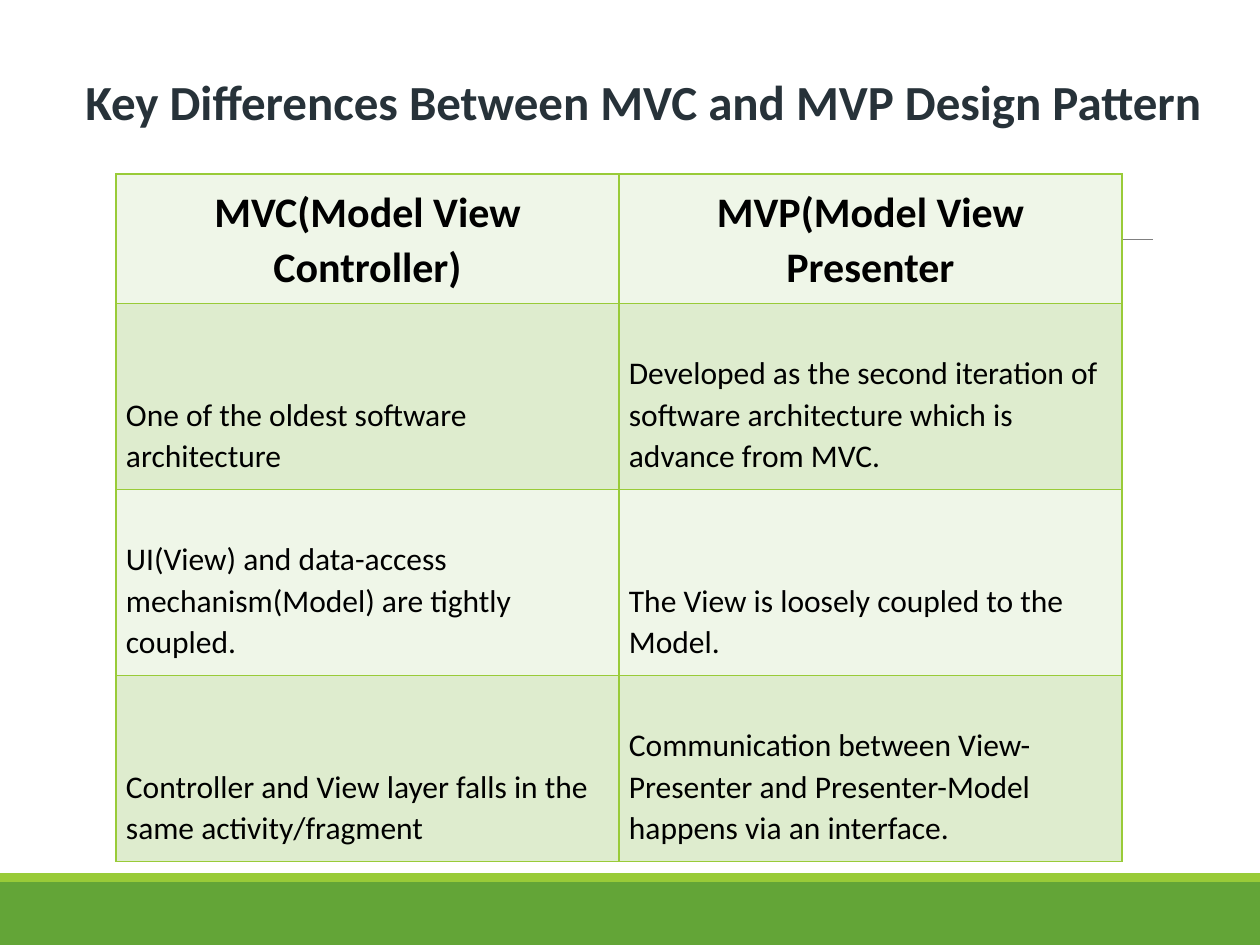
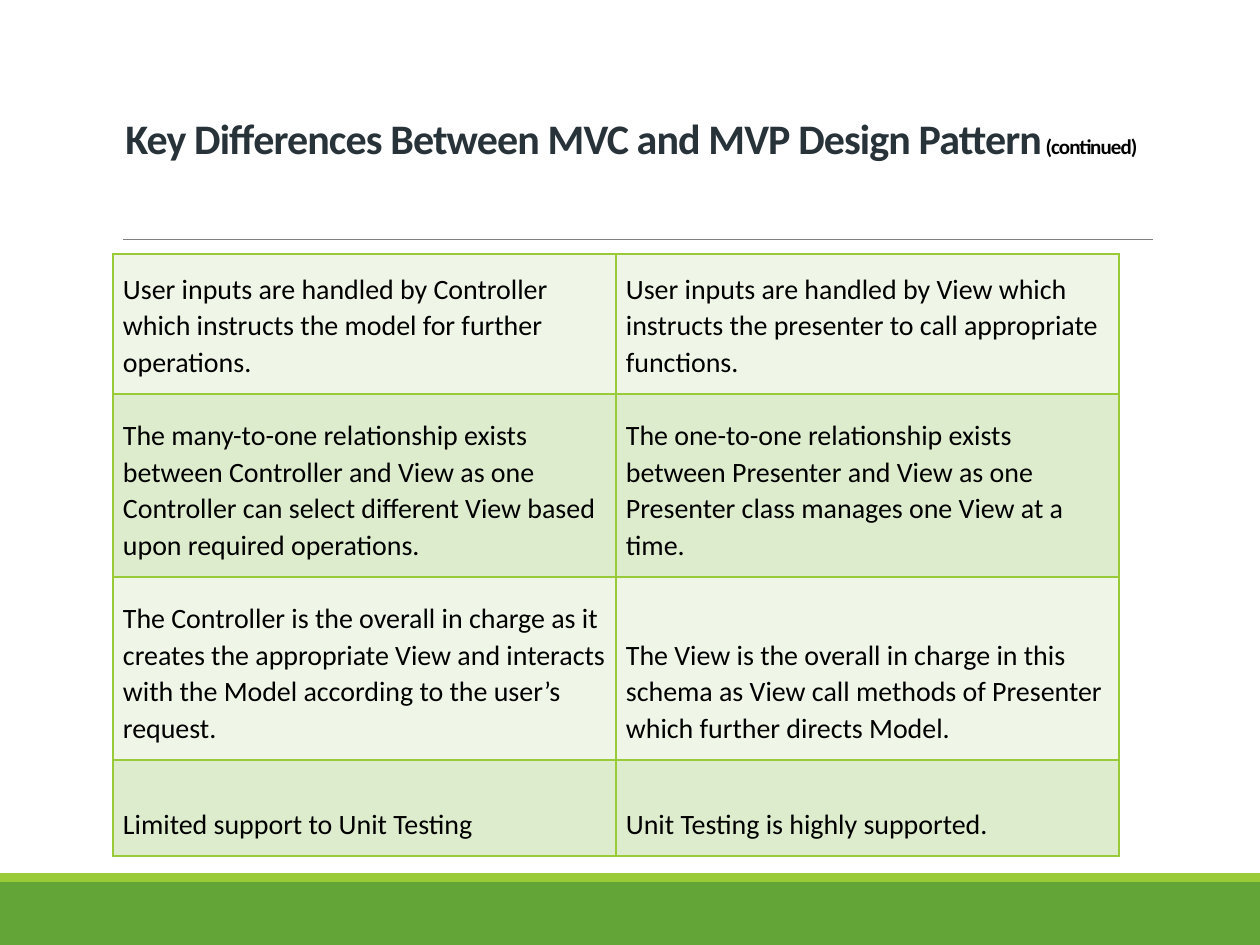
import dataclasses

import lxml.etree
import pptx
import pptx.dml.color
import pptx.enum.shapes
import pptx.enum.text
import pptx.oxml.ns
import pptx.util

ALIGN = pptx.enum.text.PP_ALIGN
ANCHOR = pptx.enum.text.MSO_ANCHOR
PAGE_WIDTH, PAGE_HEIGHT = 1260, 945


@dataclasses.dataclass(frozen=True)
class Theme:
    font: str = "Calibri"
    band: str = "63A537"
    accent: str = "99CB38"
    rule: str = "808080"
    title: str = "273239"
    text: str = "000000"
    row_fills: tuple = ("EFF6E8", "DEECCE")
    title_size: int = 28
    continued_title_size: int = 24
    note_size: int = 12
    header_size: int = 24
    body_size: int = 18
    dense_size: int = 16
    line_spacing: float = 1.07


def px(length):
    return pptx.util.Emu(round(length * 914400 / 126))


def rgb(value):
    return pptx.dml.color.RGBColor.from_string(value)


class SlideBuilder:
    def __init__(self, deck, theme):
        self.deck = deck
        self.theme = theme
        self.page = None

    def start_page(self):
        self.page = self.deck.slides.add_slide(self.deck.slide_layouts[6])
        self.band(882, 63, self.theme.band)
        self.band(873, 9, self.theme.accent)
        self.rule(123, 1153, 239)

    def band(self, top, height, color):
        shape = self.page.shapes.add_shape(
            pptx.enum.shapes.MSO_SHAPE.RECTANGLE,
            0, px(top), px(PAGE_WIDTH), px(height))
        shape.shadow.inherit = False
        shape.fill.solid()
        shape.fill.fore_color.rgb = rgb(color)
        shape.line.fill.background()

    def rule(self, left, right, y):
        line = self.page.shapes.add_connector(
            pptx.enum.shapes.MSO_CONNECTOR.STRAIGHT,
            px(left), px(y), px(right), px(y))
        line.line.color.rgb = rgb(self.theme.rule)
        line.line.width = pptx.util.Pt(0.5)
        lxml.etree.SubElement(
            line._element.spPr, pptx.oxml.ns.qn("a:effectLst"))

    def style_font(self, font, size, color, bold=False):
        font.name = self.theme.font
        font.size = pptx.util.Pt(size)
        font.color.rgb = rgb(color)
        font.bold = bold

    def title(self, bounds, spans, anchor, spacing=0):
        box = self.page.shapes.add_textbox(*map(px, bounds))
        frame = box.text_frame
        frame.word_wrap = True
        frame.vertical_anchor = anchor
        para = frame.paragraphs[0]
        for text, size, color in spans:
            span = para.add_run()
            span.text = text
            self.style_font(span.font, size, color, bold=True)
            if spacing:
                span.font._element.set("spc", str(round(spacing * 100)))

    def table(self, left, top, column_width, heights, rows, size, header=False):
        columns = len(rows[0])
        grid = self.page.shapes.add_table(
            len(rows), columns, px(left), px(top),
            px(column_width * columns), px(sum(heights))).table
        grid.first_row = False
        grid.horz_banding = False
        for column in grid.columns:
            column.width = px(column_width)
        for index, (height, texts) in enumerate(zip(heights, rows)):
            grid.rows[index].height = px(height)
            fill = self.theme.row_fills[index % 2]
            for column, text in enumerate(texts):
                self.cell(grid.cell(index, column), text, fill, size,
                          header and index == 0)

    def cell(self, cell, text, fill, size, is_header):
        cell.fill.solid()
        cell.fill.fore_color.rgb = rgb(fill)
        cell.vertical_anchor = ANCHOR.BOTTOM
        cell.margin_left = cell.margin_right = px(10)
        cell.margin_top = cell.margin_bottom = px(10 if is_header else 14)
        cell.text = text
        para = cell.text_frame.paragraphs[0]
        para.line_spacing = self.theme.line_spacing
        if is_header:
            para.alignment = ALIGN.CENTER
            para.space_after = pptx.util.Pt(7.5)
            size = self.theme.header_size
        self.style_font(para.font, size, self.theme.text, bold=is_header)
        self.borders(cell)

    def borders(self, cell):
        qn = pptx.oxml.ns.qn
        properties = cell._tc.get_or_add_tcPr()
        for position, side in enumerate("LRTB"):
            line = lxml.etree.Element(
                qn(f"a:ln{side}"), w=str(pptx.util.Pt(1)))
            fill = lxml.etree.SubElement(line, qn("a:solidFill"))
            lxml.etree.SubElement(
                fill, qn("a:srgbClr"), val=self.theme.accent)
            properties.insert(position, line)


HEADING = "Key Differences Between MVC and MVP Design Pattern"

FIRST_ROWS = [
    ("MVC(Model View Controller)", "MVP(Model View Presenter"),
    ("One of the oldest software architecture",
     "Developed as the second iteration of software architecture "
     "which is advance from MVC."),
    ("UI(View) and data-access mechanism(Model) are tightly coupled.",
     "The View is loosely coupled to the Model."),
    ("Controller and View layer falls in the same activity/fragment",
     "Communication between View-Presenter and Presenter-Model "
     "happens via an interface."),
]

CONTINUED_ROWS = [
    ("User inputs are handled by Controller which instructs the model "
     "for further operations.",
     "User inputs are handled by View which instructs the presenter "
     "to call appropriate functions."),
    ("The many-to-one relationship exists between Controller and View as "
     "one Controller can select different View based upon required "
     "operations.",
     "The one-to-one relationship exists between Presenter and View as "
     "one Presenter class manages one View at a time."),
    ("The Controller is the overall in charge as it creates the appropriate "
     "View and interacts with the Model according to the user’s request.",
     "The View is the overall in charge in this schema as View call methods "
     "of Presenter which further directs Model."),
    ("Limited support to Unit Testing", "Unit Testing is highly supported."),
]


def main():
    theme = Theme()
    deck = pptx.Presentation()
    deck.slide_width = px(PAGE_WIDTH)
    deck.slide_height = px(PAGE_HEIGHT)
    builder = SlideBuilder(deck, theme)

    builder.start_page()
    builder.table(116, 174, 503, [129, 186, 186, 186], FIRST_ROWS,
                  theme.body_size, header=True)
    builder.title((73, 65, 1158, 72),
                  [(HEADING, theme.title_size, theme.title)], ANCHOR.MIDDLE)

    builder.start_page()
    builder.title((113, 39, 1040, 130),
                  [(HEADING, theme.continued_title_size, theme.title),
                   (" (continued)", theme.note_size, theme.text)],
                  ANCHOR.BOTTOM, spacing=-0.5)
    builder.table(113, 254, 503, [140, 183, 183, 96], CONTINUED_ROWS,
                  theme.dense_size)

    deck.save("out.pptx")


if __name__ == "__main__":
    main()
